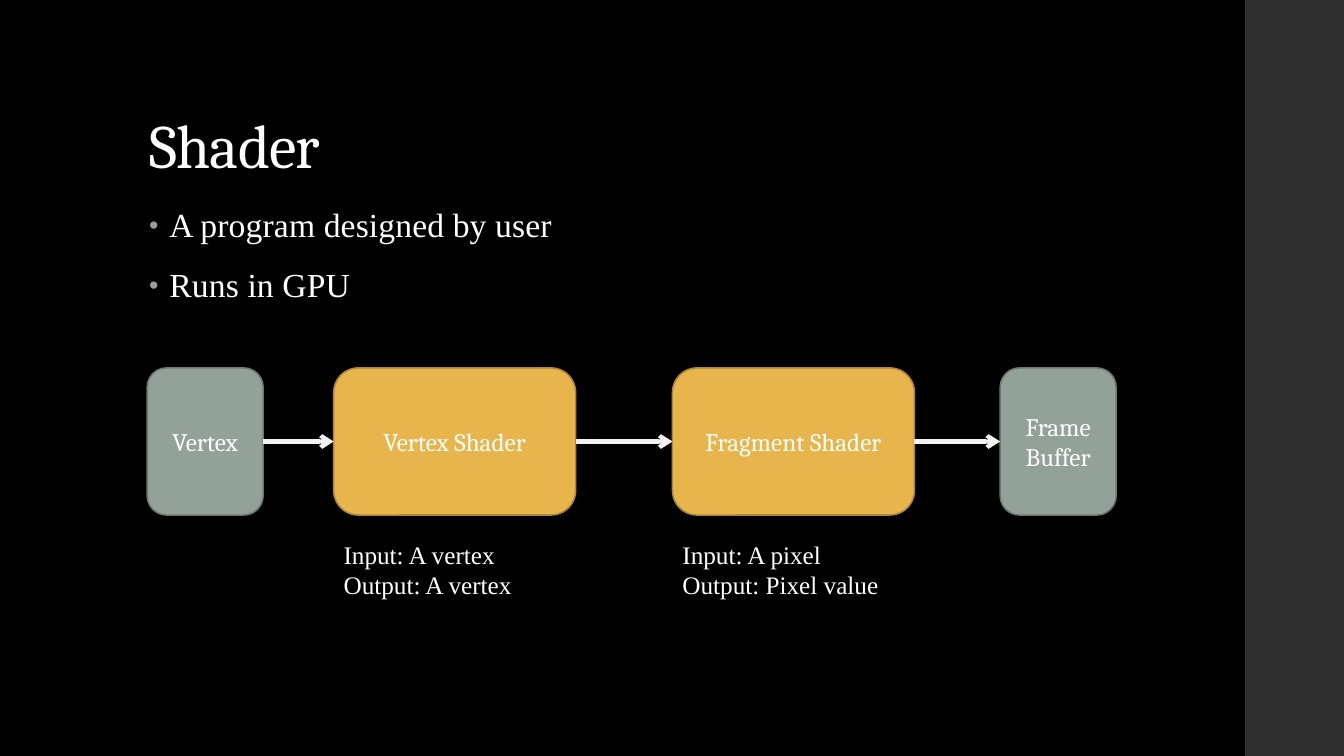
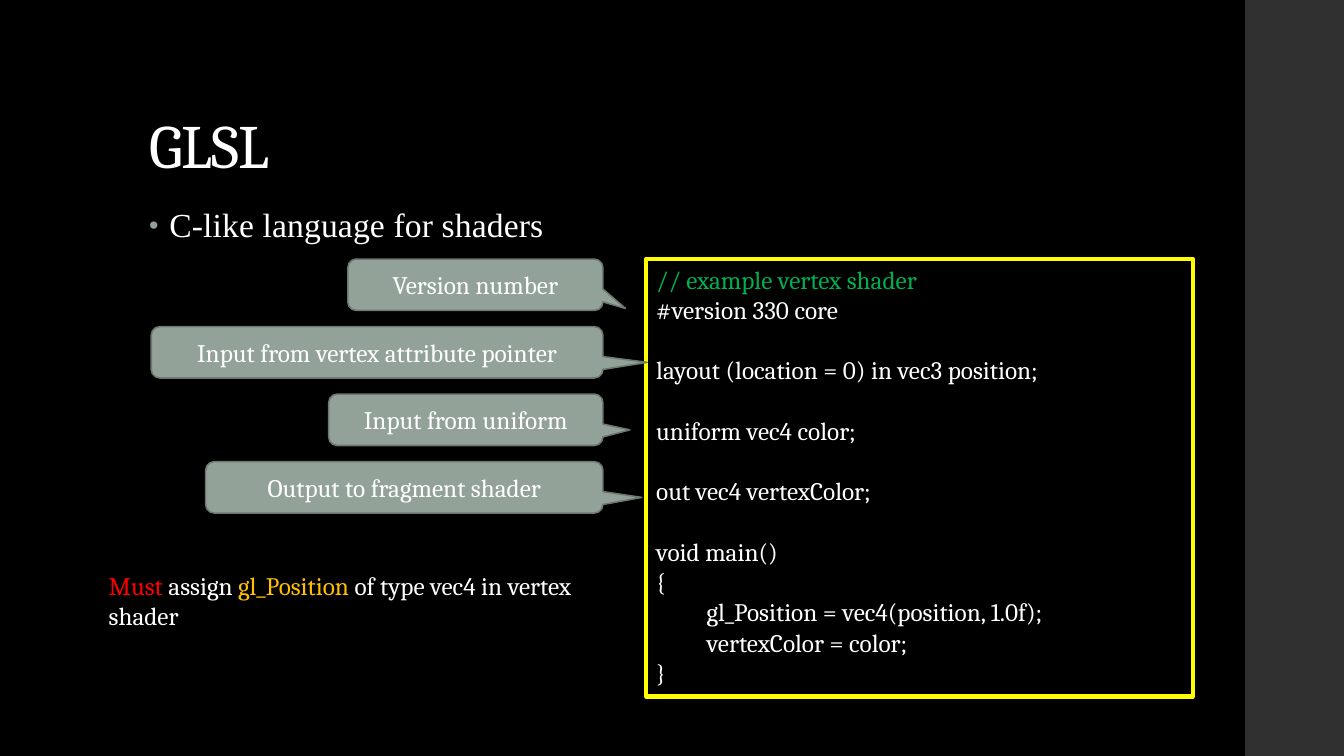
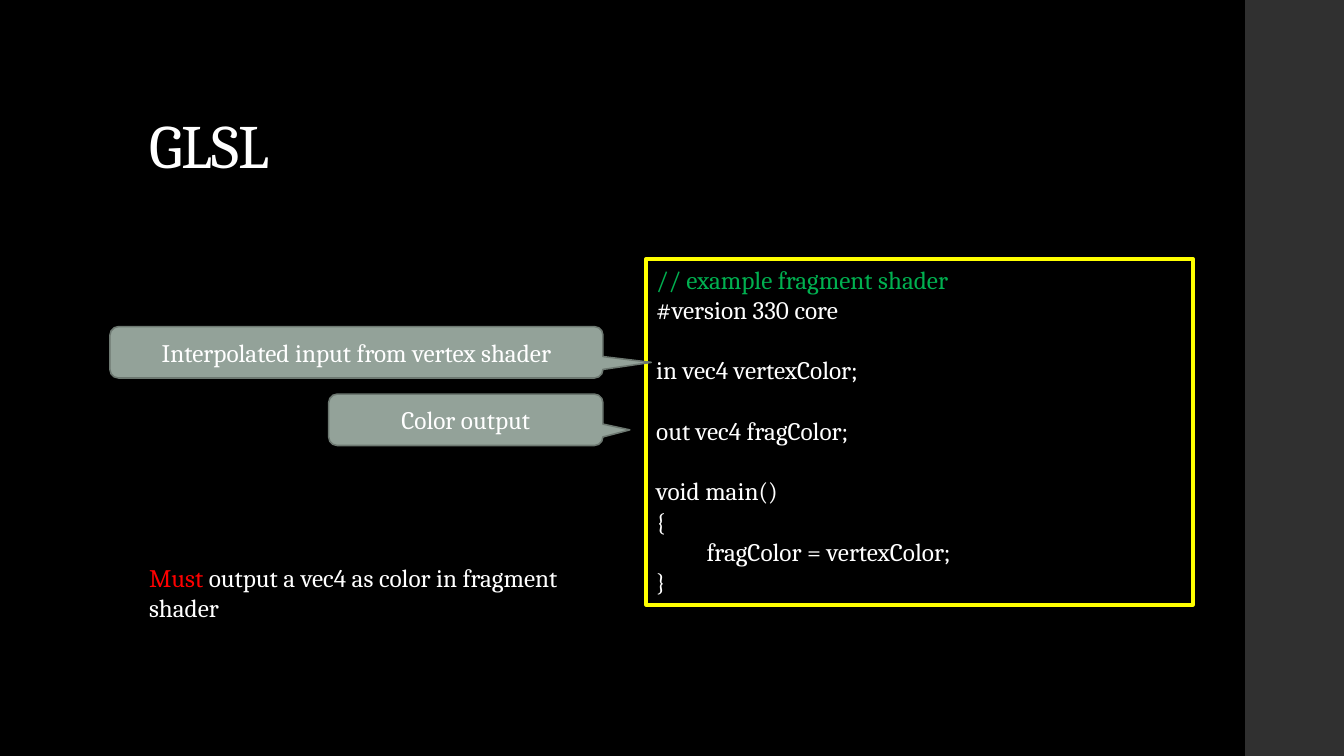
from lxml import etree
from pptx import Presentation
from pptx.dml.color import RGBColor
from pptx.enum.shapes import MSO_CONNECTOR, MSO_SHAPE
from pptx.enum.text import MSO_ANCHOR, MSO_AUTO_SIZE, PP_ALIGN
from pptx.oxml.ns import qn
from pptx.util import Inches, Pt

SLIDE_WIDTH, SLIDE_HEIGHT = 13.33, 7.5
BLACK, WHITE, BAND = "000000", "FFFFFF", "303030"
SAGE, SAGE_EDGE = "93A299", "6D7871"
GOLD, GOLD_EDGE = "E8B54D", "AC8639"
ARROW, FRAME = "F2F2F2", "FFFF00"
RED, AMBER, GREEN = "FF0000", "FFC000", "00B050"
SERIF, PLAIN = "Cambria", "Times New Roman"

TITLE_BOX = (1.38, 0.4, 10.6, 1.45)
BODY_BOX = (1.38, 2, 9.4, 4.76)
CODE_LEFT, CODE_TOP, CODE_WIDTH = 6.41, 2.57, 5.42
CODE_LINE = Pt(21.6)
CALLOUT_RIGHT, CALLOUT_PITCH, CALLOUT_HEIGHT = 5.98, 0.67, 0.51

VERTEX_CODE = """// example vertex shader
#version 330 core

layout (location = 0) in vec3 position;

uniform vec4 color;

out vec4 vertexColor;

void main()
{
\tgl_Position = vec4(position, 1.0f);
\tvertexColor = color;
}"""

FRAGMENT_CODE = """// example fragment shader
#version 330 core

in vec4 vertexColor;

out vec4 fragColor;

void main()
{
\tfragColor = vertexColor;
}"""


def rgb(color):
    return RGBColor.from_string(color)


def inches(box):
    return [Inches(length) for length in box]


def add_element(parent, tag, **attributes):
    return etree.SubElement(parent, qn(tag), attributes)


def format_run(run, font=SERIF, size=18, color=WHITE, tracking=None):
    run.font.name = font
    run.font.size = Pt(size)
    run.font.color.rgb = rgb(color)
    if tracking is not None:
        run.font._element.set("spc", str(round(tracking * 100)))


def format_text(text_frame, **style):
    for paragraph in text_frame.paragraphs:
        for run in paragraph.runs:
            format_run(run, **style)


def add_box(slide, geometry, box, fill, line, line_width=1.1):
    """Add a preset shape without shadow; a fill of None leaves it open."""
    shape = slide.shapes.add_shape(geometry, *inches(box))
    shape.shadow.inherit = False
    if fill:
        shape.fill.solid()
        shape.fill.fore_color.rgb = rgb(fill)
    else:
        shape.fill.background()
    if line:
        shape.line.color.rgb = rgb(line)
        shape.line.width = Pt(line_width)
    else:
        shape.line.fill.background()
    return shape


def add_label(shape, text):
    frame = shape.text_frame
    frame.text = text
    frame.word_wrap = True
    frame.vertical_anchor = MSO_ANCHOR.MIDDLE
    frame.paragraphs[0].alignment = PP_ALIGN.CENTER
    format_text(frame)


def add_text_box(slide, box):
    frame = slide.shapes.add_textbox(*inches(box)).text_frame
    frame.word_wrap = True
    return frame


def add_arrow(slide, start, end, y):
    connector = slide.shapes.add_connector(
        MSO_CONNECTOR.STRAIGHT, *inches((start, y, end, y)))
    connector.line.color.rgb = rgb(ARROW)
    connector.line.width = Pt(3)
    add_element(connector.line._get_or_add_ln(), "a:tailEnd", type="arrow")
    add_element(connector.element.spPr, "a:effectLst")


def set_up_master(presentation, slide):
    """Give the master its black background and the side band."""
    master = presentation.slide_master
    master.background.fill.solid()
    master.background.fill.fore_color.rgb = rgb(BLACK)
    left = 12.35
    band = add_box(slide, MSO_SHAPE.RECTANGLE,
                   (left, 0, SLIDE_WIDTH - left, SLIDE_HEIGHT), BAND, None)
    master.shapes.element.insert(2, band.element)


def place(placeholder, box):
    placeholder.left, placeholder.top, placeholder.width, placeholder.height = inches(box)
    placeholder.text_frame.auto_size = MSO_AUTO_SIZE.NONE


def fill_title(slide, text):
    title = slide.shapes.title
    place(title, TITLE_BOX)
    frame = title.text_frame
    frame.text = text
    frame.vertical_anchor = MSO_ANCHOR.BOTTOM
    frame.paragraphs[0].alignment = PP_ALIGN.LEFT
    frame.paragraphs[0].line_spacing = 0.9
    format_text(frame, size=44, tracking=-0.5)


def fill_body(slide, items):
    body = slide.placeholders[1]
    place(body, BODY_BOX)
    frame = body.text_frame
    frame.text = "\n".join(items)
    for index, paragraph in enumerate(frame.paragraphs):
        properties = paragraph._p.get_or_add_pPr()
        properties.set("marL", str(Inches(0.2)))
        properties.set("indent", str(-Inches(0.2)))
        color = add_element(properties, "a:buClr")
        add_element(color, "a:srgbClr", val=SAGE)
        add_element(properties, "a:buSzPct", val="80000")
        add_element(properties, "a:buFont", typeface="Arial")
        add_element(properties, "a:buChar", char="•")
        paragraph.line_spacing = 0.95
        paragraph.space_before = Pt(14 if index else 0)
        paragraph.space_after = Pt(2)
    format_text(frame, font=PLAIN, size=24, tracking=0.1)


def add_pipeline(slide, stages, top, height):
    """Draw (left, width, name, caption) stages joined by arrows."""
    for left, width, name, caption in stages:
        fill, edge = (GOLD, GOLD_EDGE) if caption else (SAGE, SAGE_EDGE)
        stage = add_box(slide, MSO_SHAPE.ROUNDED_RECTANGLE,
                        (left, top, width, height), fill, edge)
        add_label(stage, name)
        if caption:
            frame = add_text_box(slide, (left, top + height + 0.19, 2.24, 0.71))
            frame.text = caption
            format_text(frame, font=PLAIN)
    for (left, width, *_), (next_left, *_) in zip(stages, stages[1:]):
        add_arrow(slide, left + width, next_left, top + height / 2)


def add_code(slide, code, height):
    """Frame a listing; its empty lines become space before the next line."""
    box = add_box(slide, MSO_SHAPE.RECTANGLE,
                  (CODE_LEFT, CODE_TOP, CODE_WIDTH, height), None, FRAME, 3)
    frame = box.text_frame
    frame.word_wrap = True
    frame.vertical_anchor = MSO_ANCHOR.TOP
    lines = code.split("\n")
    frame.text = "\n".join(line for line in lines if line)
    after_gap = [not previous for previous, line in zip([" "] + lines, lines) if line]
    for paragraph, gap in zip(frame.paragraphs, after_gap):
        paragraph.alignment = PP_ALIGN.LEFT
        if gap:
            paragraph.space_before = CODE_LINE
        if paragraph.text.startswith("\t"):
            tabs = add_element(paragraph._p.get_or_add_pPr(), "a:tabLst")
            add_element(tabs, "a:tab", pos=str(Inches(0.5)), algn="l")
        color = GREEN if paragraph.text.startswith("//") else WHITE
        for run in paragraph.runs:
            format_run(run, color=color)


def add_callout(slide, row, width, text, tip=(0.598, 0.196)):
    """Add a callout that points right, in a row counted from the code top."""
    box = (CALLOUT_RIGHT - width, CODE_TOP + row * CALLOUT_PITCH, width, CALLOUT_HEIGHT)
    callout = add_box(slide, MSO_SHAPE.ROUNDED_RECTANGULAR_CALLOUT, box, SAGE, SAGE_EDGE)
    callout.adjustments[0], callout.adjustments[1] = tip
    add_label(callout, text)


def add_note(slide, box, pieces):
    paragraph = add_text_box(slide, box).paragraphs[0]
    for text, color in pieces:
        run = paragraph.add_run()
        run.text = text
        format_run(run, color=color)


def build_shader_slide(slide):
    fill_title(slide, "Shader")
    fill_body(slide, ["A program designed by user", "Runs in GPU"])
    add_pipeline(slide, [
        (1.46, 1.15, "Vertex", None),
        (3.31, 2.4, "Vertex Shader", "Input: A vertex\nOutput: A vertex"),
        (6.67, 2.4, "Fragment Shader", "Input: A pixel\nOutput: Pixel value"),
        (9.92, 1.15, "Frame Buffer", None),
    ], top=3.65, height=1.46)


def build_vertex_slide(slide):
    fill_title(slide, "GLSL")
    fill_body(slide, ["C-like language for shaders"])
    add_code(slide, VERTEX_CODE, 4.34)
    add_callout(slide, 0, 2.53, "Version number", tip=(0.589, 0.462))
    add_callout(slide, 1, 4.48, "Input from vertex attribute pointer")
    add_callout(slide, 2, 2.72, "Input from uniform")
    add_callout(slide, 3, 3.94, "Output to fragment shader")
    add_note(slide, (0.98, 5.61, 4.82, 0.71), [
        ("Must", RED), (" assign ", WHITE), ("gl_Position ", AMBER),
        ("of type vec4 in vertex shader", WHITE)])


def build_fragment_slide(slide):
    fill_title(slide, "GLSL")
    add_code(slide, FRAGMENT_CODE, 3.43)
    add_callout(slide, 1, 4.89, "Interpolated input from vertex shader")
    add_callout(slide, 2, 2.72, "Color output")
    add_note(slide, (1.38, 5.53, 4.38, 0.71), [
        ("Must", RED), (" output a vec4 as color in fragment shader", WHITE)])


def main():
    presentation = Presentation()
    presentation.slide_width = Inches(SLIDE_WIDTH)
    presentation.slide_height = Inches(SLIDE_HEIGHT)
    title_and_content, title_only = (presentation.slide_layouts[i] for i in (1, 5))
    shader, vertex, fragment = (
        presentation.slides.add_slide(layout)
        for layout in (title_and_content, title_and_content, title_only))
    set_up_master(presentation, shader)
    build_shader_slide(shader)
    build_vertex_slide(vertex)
    build_fragment_slide(fragment)
    presentation.save("out.pptx")


if __name__ == "__main__":
    main()
